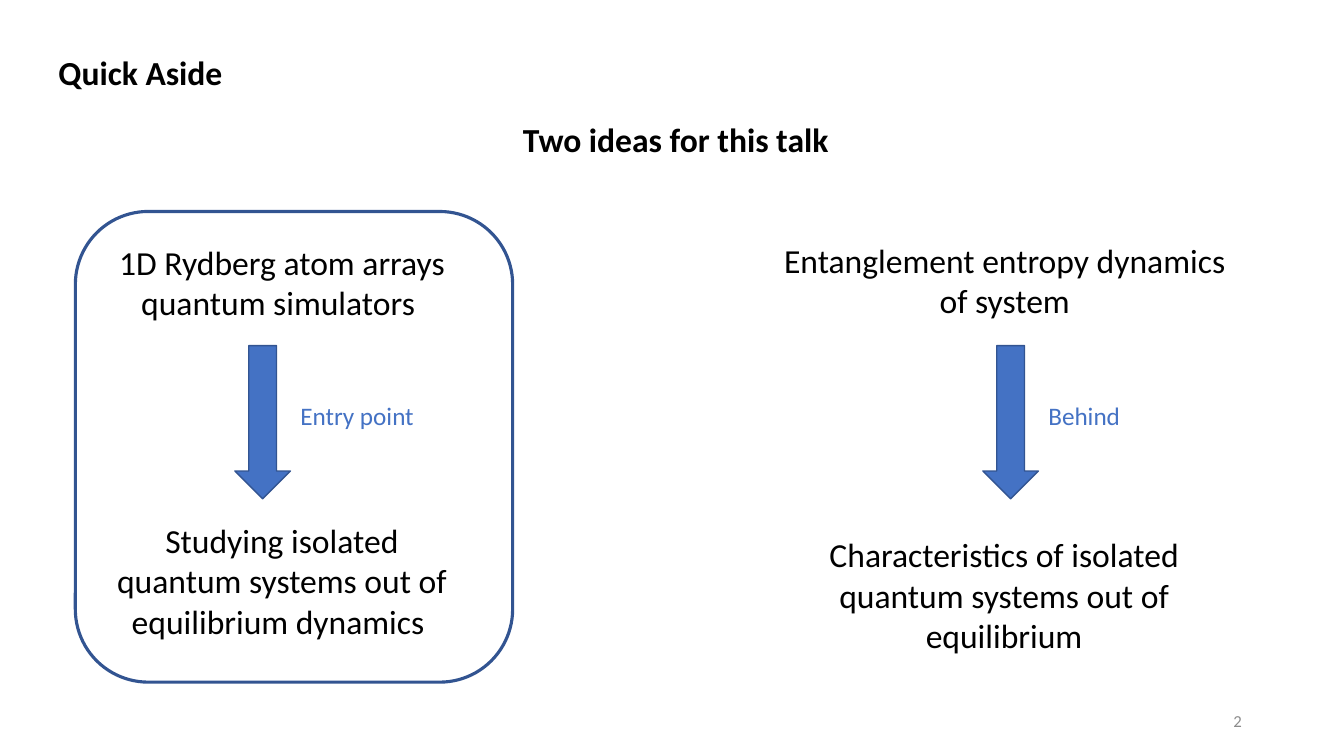
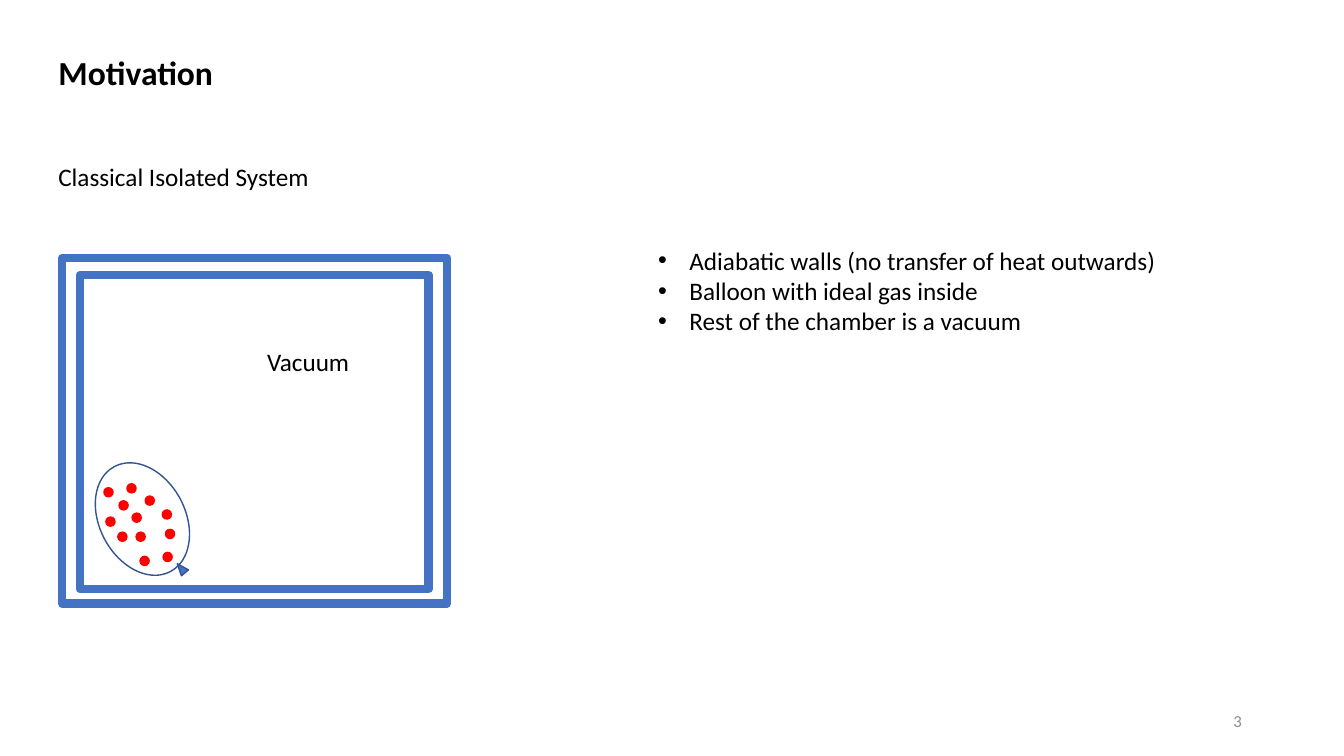
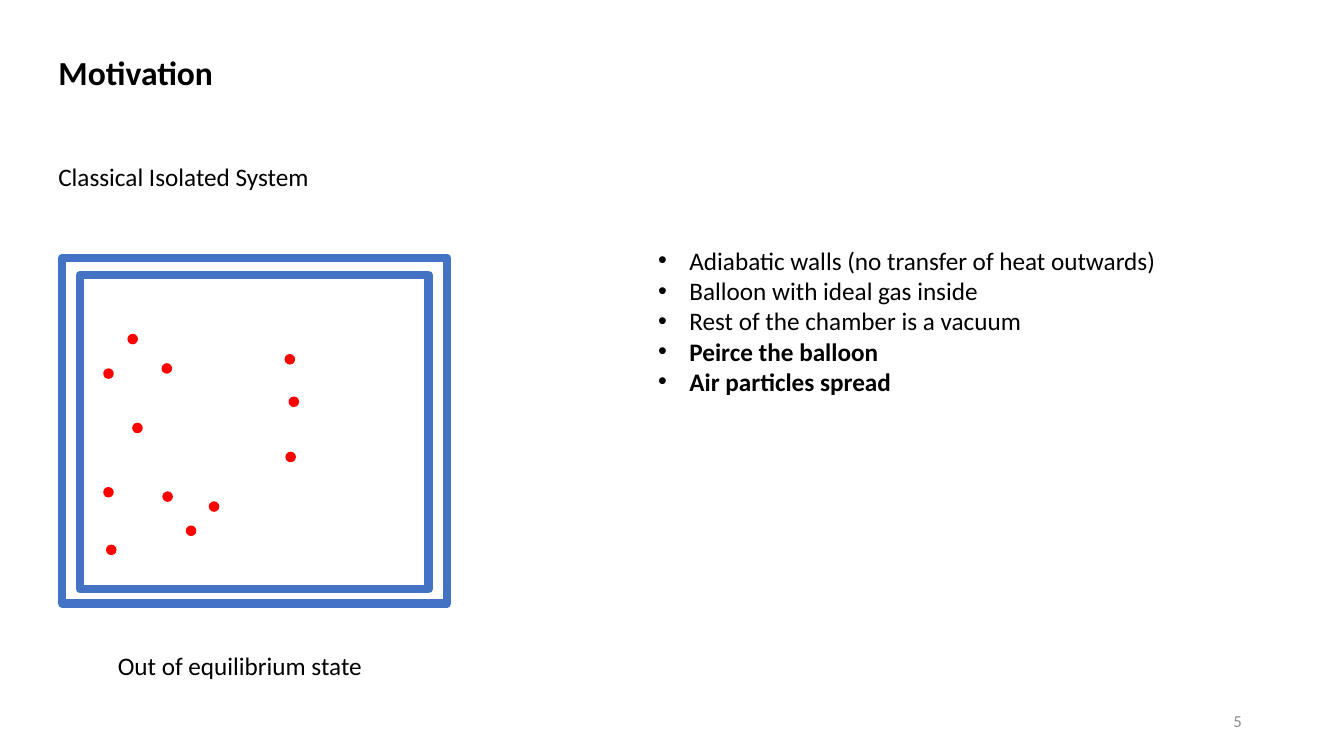
from dataclasses import dataclass

import pptx
import pptx.dml.color
import pptx.enum.shapes
import pptx.enum.text
import pptx.presentation
import pptx.shapes.autoshape
import pptx.slide
import pptx.util

Cm = pptx.util.Cm
Pt = pptx.util.Pt
Preset = pptx.enum.shapes.MSO_SHAPE
Align = pptx.enum.text.PP_ALIGN
Anchor = pptx.enum.text.MSO_ANCHOR

FONT = "Calibri"
BLACK, GREY = "000000", "8C8C8C"
BLUE, DARK_BLUE, RED = "4472C4", "325491", "FF0000"
TITLE_SIZE, TEXT_SIZE, NUMBER_SIZE = 24, 18, 12
LINE_HEIGHT = 1.02
TITLE_HEIGHT = 1.27
PARTICLE_SIZE = 0.23
BULLET_INDENT = 0.79
TITLE_ONLY, TITLE_AND_BODY = 5, 1


@dataclass(frozen=True)
class Box:
    """Left, top, width and height in centimetres."""
    left: float
    top: float
    width: float
    height: float


@dataclass(frozen=True)
class TextStyle:
    size: int = TEXT_SIZE
    color: str = BLACK
    bold: bool = False
    align: Align = Align.LEFT
    wrap: bool = False
    anchor: Anchor = Anchor.TOP


@dataclass(frozen=True)
class Idea:
    start: str
    start_box: Box
    link: str
    link_width: float
    arrow_left: float
    goal: str
    goal_box: Box


HEADING = TextStyle(TITLE_SIZE, bold=True)
PLAIN = TextStyle()
STATEMENT = TextStyle(TITLE_SIZE, align=Align.CENTER, wrap=True)
LINK = TextStyle(color=BLUE)
NUMBER = TextStyle(NUMBER_SIZE, GREY, align=Align.RIGHT, wrap=True, anchor=Anchor.MIDDLE)

IDEAS = [
    Idea("1D Rydberg atom arrays quantum simulators ", Box(2.57, 5.97, 9.07, 2.31),
         "Entry point", 3.4, 5.92,
         "Studying isolated quantum systems out of equilibrium dynamics ",
         Box(2.57, 12.98, 9.07, 3.33)),
    Idea("Entanglement entropy dynamics of system", Box(19.35, 5.92, 11.94, 2.31),
         "Behind", 2.34, 24.77,
         "Characteristics of isolated quantum systems out of equilibrium",
         Box(20.29, 13.34, 10.03, 3.33)),
]

CHAMBER_WALLS = [Box(2.01, 6.93, 8.79, 7.92), Box(1.57, 6.5, 9.7, 8.71)]
SETUP = [
    "Adiabatic walls (no transfer of heat outwards)",
    "Balloon with ideal gas inside",
    "Rest of the chamber is a vacuum",
]
RELEASE = ["Peirce the balloon", "Air particles spread"]

# Left and top of every gas particle
CONFINED_GAS = [
    (3.66, 12.5), (3.43, 13.41), (4.17, 13.34), (4.11, 13.92),
    (3.53, 14.02), (4.09, 12.85), (3.33, 12.93), (3.2, 12.19),
    (3.0, 12.62), (2.62, 12.29), (2.97, 13.41), (2.67, 13.03),
]
SPREAD_GAS = [
    (4.09, 9.17), (5.28, 12.65), (7.29, 10.01), (7.21, 11.4),
    (4.7, 13.26), (7.19, 8.94), (3.35, 10.67), (3.23, 8.43),
    (2.62, 9.3), (2.62, 12.29), (4.11, 12.4), (2.69, 13.74),
]


def rgb(color: str) -> pptx.dml.color.RGBColor:
    return pptx.dml.color.RGBColor.from_string(color)


def edges(box: Box) -> tuple:
    return Cm(box.left), Cm(box.top), Cm(box.width), Cm(box.height)


def place(holder: pptx.shapes.autoshape.Shape, box: Box) -> None:
    holder.left, holder.top, holder.width, holder.height = edges(box)


def write(holder: pptx.shapes.autoshape.Shape, text: str, style: TextStyle) -> None:
    """Fill a text holder and format all its runs."""
    frame = holder.text_frame
    frame.text = text
    frame.word_wrap = style.wrap
    frame.auto_size = pptx.enum.text.MSO_AUTO_SIZE.NONE
    frame.vertical_anchor = style.anchor
    for paragraph in frame.paragraphs:
        paragraph.alignment = style.align
        paragraph.space_before = Pt(0)
        for run in paragraph.runs:
            run.font.name = FONT
            run.font.size = Pt(style.size)
            run.font.bold = style.bold
            run.font.color.rgb = rgb(style.color)


def add_text(slide: pptx.slide.Slide, text: str, box: Box, style: TextStyle) -> None:
    write(slide.shapes.add_textbox(*edges(box)), text, style)


def add_figure(slide: pptx.slide.Slide, preset: Preset, box: Box, line: str,
               weight: float = 1, fill: str = "", rotation: float = 0) -> None:
    figure = slide.shapes.add_shape(preset, *edges(box))
    figure.shadow.inherit = False
    figure.rotation = rotation
    figure.line.color.rgb = rgb(line)
    figure.line.width = Pt(weight)
    if fill:
        figure.fill.solid()
        figure.fill.fore_color.rgb = rgb(fill)
    else:
        figure.fill.background()


def add_slide(deck: pptx.presentation.Presentation, layout: int, title: str,
              number: int) -> pptx.slide.Slide:
    """Start a slide with the shared title and page number."""
    slide = deck.slides.add_slide(deck.slide_layouts[layout])
    place(slide.shapes.title, Box(1.22, 1.19, 4.67, TITLE_HEIGHT))
    write(slide.shapes.title, title, HEADING)
    add_text(slide, str(number), Box(23.93, 17.65, 7.62, LINE_HEIGHT), NUMBER)
    return slide


def add_idea(slide: pptx.slide.Slide, idea: Idea) -> None:
    arrow = Box(idea.arrow_left, 8.71, 1.4, 3.86)
    link_box = Box(arrow.left + arrow.width, 9.96, idea.link_width, LINE_HEIGHT)
    add_text(slide, idea.start, idea.start_box, STATEMENT)
    add_figure(slide, Preset.DOWN_ARROW, arrow, DARK_BLUE, fill=BLUE)
    add_text(slide, idea.link, link_box, LINK)
    add_text(slide, idea.goal, idea.goal_box, STATEMENT)


def add_bullets(slide: pptx.slide.Slide, points: list[str], bold_points: list[str],
                height: float) -> None:
    body = slide.placeholders[1]
    place(body, Box(16.33, 6.05, 13.21, height))
    write(body, "\n".join(points + bold_points), PLAIN)
    for paragraph in body.text_frame.paragraphs:
        properties = paragraph._p.get_or_add_pPr()
        properties.set("marL", str(Cm(BULLET_INDENT)))
        properties.set("indent", str(-Cm(BULLET_INDENT)))
        for run in paragraph.runs:
            run.font.bold = run.text in bold_points


def add_chamber(slide: pptx.slide.Slide, gas: list[tuple[float, float]]) -> None:
    add_text(slide, "Classical Isolated System", Box(1.22, 3.94, 6.85, LINE_HEIGHT), PLAIN)
    for wall in CHAMBER_WALLS:
        add_figure(slide, Preset.RECTANGLE, wall, BLUE, weight=6)
    for left, top in gas:
        add_figure(slide, Preset.OVAL, Box(left, top, PARTICLE_SIZE, PARTICLE_SIZE),
                   RED, fill=RED)


def main() -> None:
    deck = pptx.Presentation()
    deck.slide_width, deck.slide_height = Cm(33.87), Cm(19.05)

    # Two ideas, the first one framed
    aside = add_slide(deck, TITLE_ONLY, "Quick Aside", 2)
    add_text(aside, "Two ideas for this talk", Box(12.93, 2.87, 8.28, TITLE_HEIGHT), HEADING)
    for idea in IDEAS:
        add_idea(aside, idea)
    add_figure(aside, Preset.ROUNDED_RECTANGLE, Box(1.9, 5.33, 11.02, 11.86),
               DARK_BLUE, weight=2.25)

    # Gas held in the balloon
    confined = add_slide(deck, TITLE_AND_BODY, "Motivation", 3)
    add_chamber(confined, CONFINED_GAS)
    add_figure(confined, Preset.OVAL, Box(2.51, 11.58, 2.16, 3), DARK_BLUE, rotation=331.8)
    add_figure(confined, Preset.ISOSCELES_TRIANGLE, Box(4.45, 14.17, 0.23, 0.3),
               DARK_BLUE, fill=BLUE, rotation=320)
    add_text(confined, "Vacuum", Box(6.48, 8.61, 2.62, LINE_HEIGHT), PLAIN)
    add_bullets(confined, SETUP, [], 2.57)

    # Gas after the balloon is pierced
    spread = add_slide(deck, TITLE_AND_BODY, "Motivation", 5)
    add_chamber(spread, SPREAD_GAS)
    add_text(spread, "Out of equilibrium state", Box(2.72, 16.26, 6.88, LINE_HEIGHT), PLAIN)
    add_bullets(spread, SETUP, RELEASE, 4.11)

    deck.save("out.pptx")


if __name__ == "__main__":
    main()
